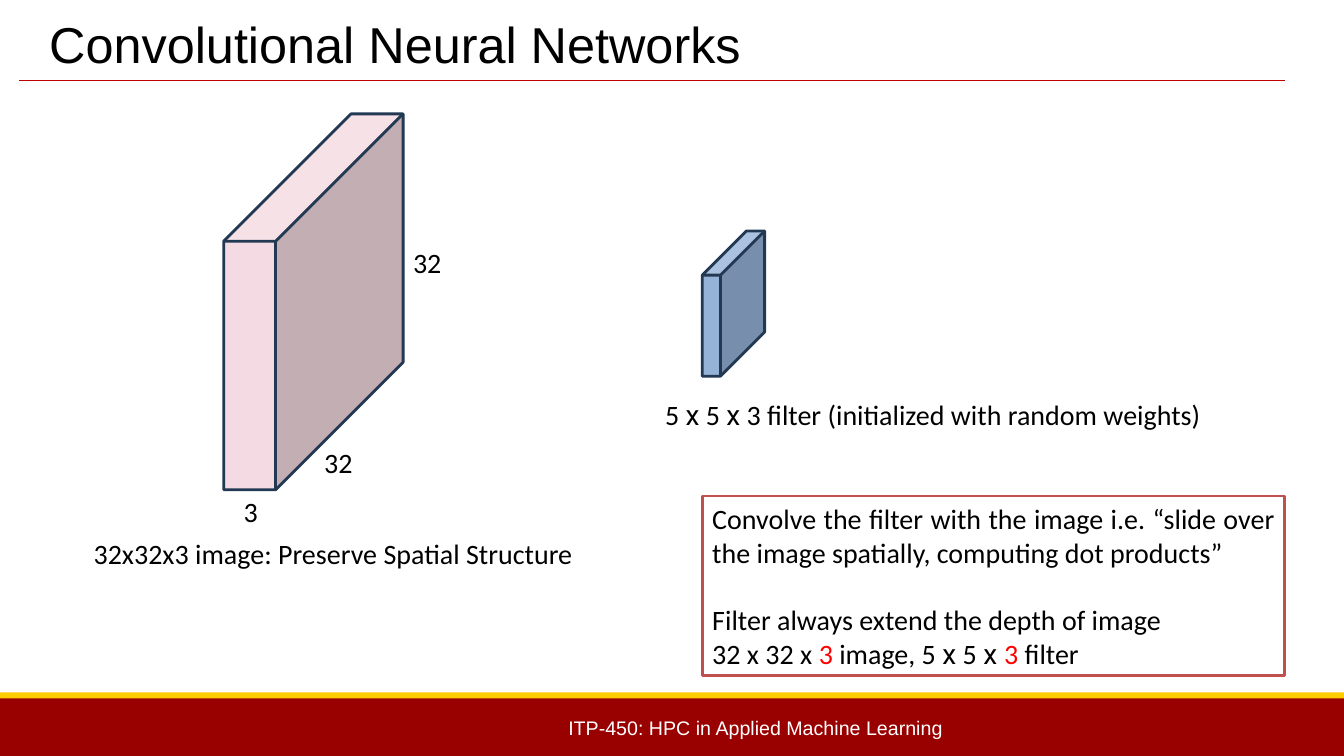
from dataclasses import dataclass

import pptx
import pptx.dml.color
import pptx.enum.shapes
import pptx.enum.text
import pptx.oxml.ns
import pptx.util
from lxml import etree

Cm, Pt = pptx.util.Cm, pptx.util.Pt
ALIGN = pptx.enum.text.PP_ALIGN
SHAPE = pptx.enum.shapes.MSO_SHAPE

COLORS = {
    "cardinal": "990000", "gold": "FFCC00", "white": "FFFFFF", "black": "000000",
    "rule": "C00000", "pink": "F4DAE2", "blue": "95B3D7", "navy": "233953",
    "frame": "C0504D", "red": "FF0000",
}


@dataclass
class Run:
    text: str
    color: str = "black"
    font: str = "Calibri"


@dataclass
class Block:
    left: float
    top: float
    width: float
    height: float
    fill: str
    line: str | None = None
    kind: SHAPE = SHAPE.RECTANGLE


@dataclass
class Label:
    left: float
    top: float
    width: float
    height: float
    runs: list[Run]
    size: int = 20
    wrap: bool = False
    grow: bool = True


def rgb(name: str) -> pptx.dml.color.RGBColor:
    return pptx.dml.color.RGBColor.from_string(COLORS[name])


def add_block(s, block: Block):
    sp = s.shapes.add_shape(block.kind, Cm(block.left), Cm(block.top),
                            Cm(block.width), Cm(block.height))
    sp.shadow.inherit = False
    sp.fill.solid()
    sp.fill.fore_color.rgb = rgb(block.fill)
    if block.line:
        sp.line.color.rgb = rgb(block.line)
        sp.line.width = Pt(2)
    else:
        sp.line.fill.background()
    if block.kind == SHAPE.CUBE:
        sp.adjustments[0] = 0.71
    return sp


def fill_paragraph(p, runs: list[Run], size: int) -> None:
    fonts = {run.font for run in runs}
    colors = {run.color for run in runs}
    p.font.size = Pt(size)
    if len(fonts) == 1:
        p.font.name = runs[0].font
    if len(colors) == 1:
        p.font.color.rgb = rgb(runs[0].color)
    for run in runs:
        r = p.add_run()
        r.text = run.text
        if len(fonts) > 1:
            r.font.name = run.font
        if len(colors) > 1:
            r.font.color.rgb = rgb(run.color)


def add_label(s, label: Label):
    sp = s.shapes.add_textbox(Cm(label.left), Cm(label.top),
                              Cm(label.width), Cm(label.height))
    tf = sp.text_frame
    tf.word_wrap = label.wrap
    if label.grow:
        tf.auto_size = pptx.enum.text.MSO_AUTO_SIZE.SHAPE_TO_FIT_TEXT
    fill_paragraph(tf.paragraphs[0], label.runs, label.size)
    return sp


def times() -> Run:
    return Run("x", font="Roboto")


def main() -> None:
    prs = pptx.Presentation()
    prs.slide_width, prs.slide_height = Cm(33.87), Cm(19.05)
    s = prs.slides.add_slide(prs.slide_layouts[6])

    # Footer bands, image volume and filter volume
    for block in (
        Block(0, 17.58, 33.87, 1.47, "cardinal"),
        Block(0, 17.45, 33.87, 0.15, "gold"),
        Block(5.64, 2.87, 4.52, 9.47, "pink", "navy", SHAPE.CUBE),
        Block(17.7, 5.82, 1.57, 3.66, "blue", "navy", SHAPE.CUBE),
    ):
        add_block(s, block)

    # Footer text
    footer = add_label(s, Label(
        9.75, 17.81, 18.59, 0.91,
        [Run("ITP-450: HPC in Applied Machine Learning", "white", "Arial")], 14, True))
    p = footer.text_frame.paragraphs[0]
    p.alignment = ALIGN.CENTER
    p.line_spacing = Pt(20)

    # Title, dimensions and captions
    for label in (
        Label(0.99, 0.2, 24.41, 1.7,
              [Run("Convolutional Neural Networks", font="Arial")], 36, True, False),
        Label(10.16, 6.07, 1.24, 1.12, [Run("32")]),
        Label(7.92, 11.1, 1.24, 1.12, [Run("32")]),
        Label(5.89, 12.34, 0.86, 1.12, [Run("3")]),
        Label(16.51, 9.88, 14.2, 1.12,
              [Run("5 "), times(), Run(" 5 "), times(),
               Run(" 3 filter (initialized with random weights)")]),
        Label(2.11, 13.39, 16.94, 1.12,
              [Run("32x32x3 image: Preserve Spatial Structure")], wrap=True),
    ):
        add_label(s, label)

    # Rule under the title
    rule = s.shapes.add_connector(pptx.enum.shapes.MSO_CONNECTOR.STRAIGHT,
                                  Cm(0.48), Cm(2.03), Cm(32.39), Cm(2.03))
    rule.line.color.rgb = rgb("rule")
    rule.line.width = Pt(1.25)
    etree.SubElement(rule._element.spPr, pptx.oxml.ns.qn("a:effectLst"))

    # Framed explanation
    box = add_block(s, Block(17.7, 12.5, 14.68, 4.52, "white", "frame"))
    tf = box.text_frame
    tf.word_wrap = True
    tf.auto_size = pptx.enum.text.MSO_AUTO_SIZE.SHAPE_TO_FIT_TEXT
    explanation = [
        [Run("Convolve the filter with the image i.e. “slide over the image "
             "spatially, computing dot products”")],
        [Run("Filter always extend the depth of image")],
        [Run("32 x 32 x "), Run("3", "red"), Run(" image, 5 "), times(), Run(" 5 "),
         Run("x ", font="Roboto"), Run("3 ", "red"), Run("filter")],
    ]
    for i, runs in enumerate(explanation):
        p = tf.add_paragraph() if i else tf.paragraphs[0]
        p.alignment = ALIGN.JUSTIFY
        if i == 1:
            p.space_before = Pt(24)
        fill_paragraph(p, runs, 20)

    prs.save("out.pptx")


if __name__ == "__main__":
    main()
